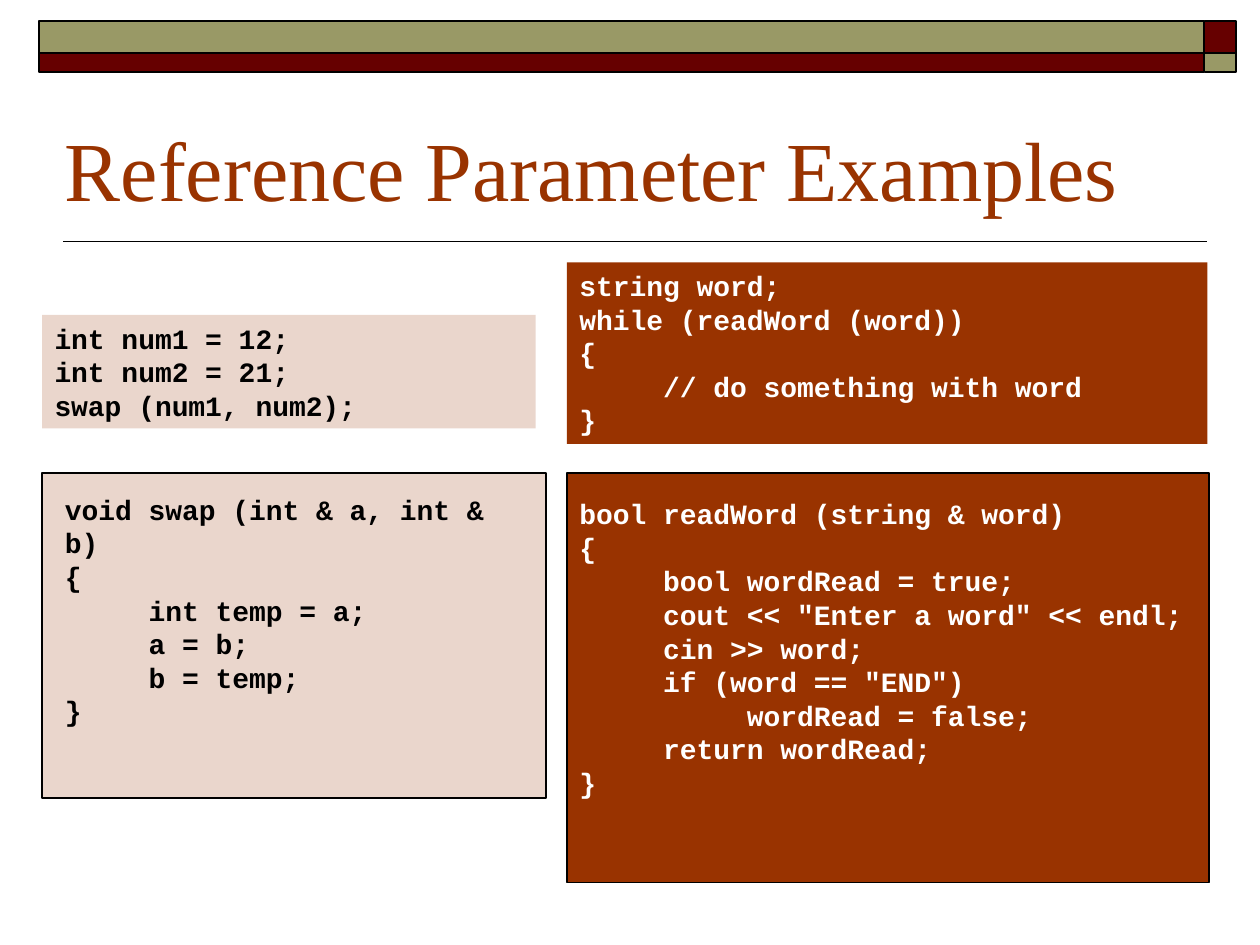
from lxml import etree
from pptx import Presentation
from pptx.dml.color import RGBColor
from pptx.enum.shapes import MSO_CONNECTOR as Connector, MSO_SHAPE as Shape
from pptx.enum.text import MSO_ANCHOR as Anchor, PP_ALIGN as Align
from pptx.oxml.ns import qn
from pptx.util import Cm, Pt

BLACK, WHITE = "000000", "FFFFFF"
OLIVE, MAROON, RUST = "999966", "660000", "993300"

SWAP_CALL = """int num1 = 12;
int num2 = 21;
swap (num1, num2);"""

SWAP_FUNCTION = """void swap (int & a, int & b)
{
     int temp = a;
     a = b;
     b = temp;
}"""

READ_CALL = """string word;
while (readWord (word))
{
     // do something with word
}"""

READ_FUNCTION = """bool readWord (string & word)
{
     bool wordRead = true;
     cout << "Enter a word" << endl;
     cin >> word;
     if (word == "END")
          wordRead = false;
     return wordRead;
}"""


def color(value):
    return RGBColor.from_string(value)


def add_box(slide, left, top, width, height, fill, opacity=100, outlined=True):
    shape = slide.shapes.add_shape(
        Shape.RECTANGLE, Cm(left), Cm(top), Cm(width), Cm(height))
    shape.shadow.inherit = False
    shape.fill.solid()
    shape.fill.fore_color.rgb = color(fill)
    if opacity < 100:
        fill_color = shape.fill._xPr.find(qn("a:solidFill"))[0]
        etree.SubElement(fill_color, qn("a:alpha"), val=str(opacity * 1000))
    if outlined:
        shape.line.color.rgb = color(BLACK)
        shape.line.width = Pt(1)
    else:
        shape.line.fill.background()
    return shape


def add_text_box(slide, left, top, width, height):
    return slide.shapes.add_textbox(Cm(left), Cm(top), Cm(width), Cm(height))


def write_text(shape, text, font="Courier New", size=16, font_color=BLACK,
               bold=True, anchor=Anchor.TOP, wrap=True, line_spacing=1.0):
    """Fill the shape with one paragraph per line of text."""
    frame = shape.text_frame
    frame.word_wrap = wrap
    frame.vertical_anchor = anchor
    frame.text = text
    for paragraph in frame.paragraphs:
        paragraph.alignment = Align.LEFT
        paragraph.line_spacing = line_spacing
        paragraph.font.name = font
        paragraph.font.size = Pt(size)
        paragraph.font.bold = bold
        paragraph.font.color.rgb = color(font_color)


def add_rule(slide, left, right, y):
    rule = slide.shapes.add_connector(
        Connector.STRAIGHT, Cm(left), Cm(y), Cm(right), Cm(y))
    rule.line.color.rgb = color(BLACK)
    rule.line.width = Pt(1)
    etree.SubElement(rule._element.spPr, qn("a:effectLst"))


def add_banner(slide):
    """Two bands, each with an end block in the other band's colour."""
    left, split, end_width = 0.79, 24.28, 0.64
    bands = [(0.43, 0.64, OLIVE, MAROON), (1.07, 0.38, MAROON, OLIVE)]
    for top, height, band_fill, end_fill in bands:
        add_box(slide, left, top, split - left, height, band_fill)
        add_box(slide, split, top, end_width, height, end_fill)


def main():
    presentation = Presentation()
    presentation.slide_width = Cm(25.4)
    presentation.slide_height = Cm(19.05)
    slide = presentation.slides.add_slide(presentation.slide_layouts[6])

    add_rule(slide, 1.27, 24.34, 4.87)
    add_banner(slide)
    title = add_text_box(slide, 1.06, 1.48, 23.92, 3.07)
    write_text(title, "Reference Parameter Examples", font="Times New Roman",
               size=48, font_color=RUST, bold=False, anchor=Anchor.BOTTOM,
               line_spacing=0.9)

    swap_left, read_left, function_top = 0.85, 11.43, 9.53

    add_box(slide, swap_left, function_top, 10.16, 6.56, RUST, opacity=20)
    swap_function = add_text_box(slide, 1.06, 9.8, 9.95, 4.32)
    write_text(swap_function, SWAP_FUNCTION, wrap=False)
    swap_call = add_box(slide, swap_left, 6.35, 9.95, 2.29, RUST,
                        opacity=20, outlined=False)
    write_text(swap_call, SWAP_CALL)

    add_box(slide, read_left, function_top, 12.95, 8.26, RUST)
    read_function = add_text_box(slide, read_left, 9.89, 13.6, 7.04)
    write_text(read_function, READ_FUNCTION, font_color=WHITE)
    read_call = add_box(slide, read_left, 5.29, 12.91, 3.66, RUST,
                        outlined=False)
    write_text(read_call, READ_CALL, font_color=WHITE)

    presentation.save("out.pptx")


if __name__ == "__main__":
    main()
